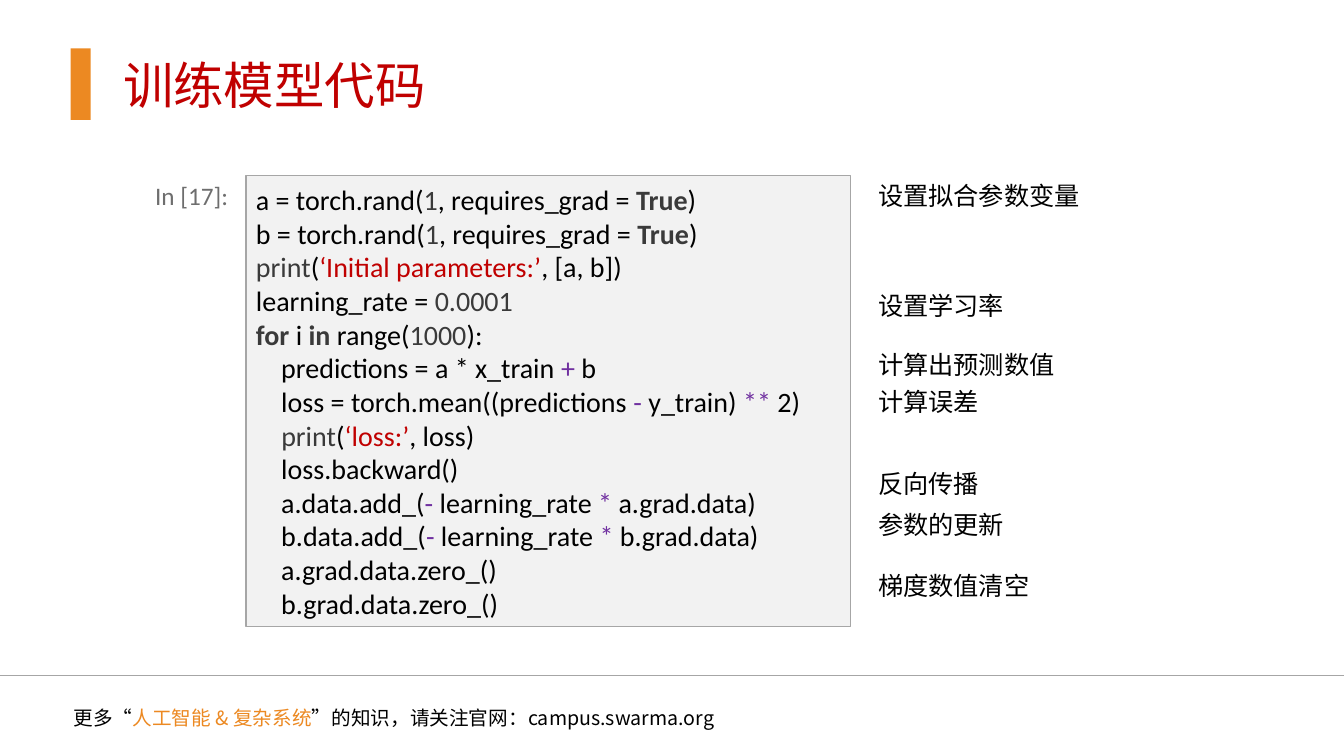
from typing import NamedTuple

from lxml import etree
from pptx import Presentation
from pptx.dml.color import RGBColor
from pptx.enum.shapes import MSO_CONNECTOR, MSO_SHAPE
from pptx.enum.text import MSO_ANCHOR, MSO_AUTO_SIZE, PP_ALIGN
from pptx.oxml.ns import qn
from pptx.shapes.base import BaseShape
from pptx.slide import Slide
from pptx.util import Inches, Pt

RECTANGLE = MSO_SHAPE.RECTANGLE
STRAIGHT = MSO_CONNECTOR.STRAIGHT
MIDDLE = MSO_ANCHOR.MIDDLE
LEFT = PP_ALIGN.LEFT
NO_AUTOSIZE = MSO_AUTO_SIZE.NONE

BLACK = RGBColor(0x00, 0x00, 0x00)
DARK_GRAY = RGBColor(0x3A, 0x3A, 0x3A)
PROMPT_GRAY = RGBColor(0x6E, 0x6E, 0x6E)
BORDER_GRAY = RGBColor(0xA6, 0xA6, 0xA6)
CODE_FILL = RGBColor(0xF2, 0xF2, 0xF2)
RED = RGBColor(0xC0, 0x00, 0x00)
PURPLE = RGBColor(0x70, 0x30, 0xA0)
ORANGE = RGBColor(0xEC, 0x89, 0x22)

LATIN = "Calibri"
CHINESE = "Noto Sans CJK SC"


class Box(NamedTuple):
    left: float
    top: float
    width: float
    height: float


class Piece(NamedTuple):
    text: str
    color: RGBColor = BLACK
    bold: bool = False


class Note(NamedTuple):
    top: float
    text: str


Line = list[Piece]


def keyword(text: str) -> Piece:
    return Piece(text, DARK_GRAY, True)


def literal(text: str) -> Piece:
    return Piece(text, DARK_GRAY)


def string(text: str) -> Piece:
    return Piece(text, RED)


def operator(text: str) -> Piece:
    return Piece(text, PURPLE)


def parameter_line(name: str) -> Line:
    return [Piece(f"{name} = torch.rand("), literal("1"), Piece(", requires_grad = "),
            keyword("True"), Piece(")")]


def update_line(name: str) -> Line:
    return [Piece(f"    {name}.data.add_("), operator("- "), Piece("learning_rate "),
            operator("* "), Piece(f"{name}.grad.data)")]


CODE = [
    parameter_line("a"),
    parameter_line("b"),
    [literal("print"), Piece("("), string("‘Initial parameters:’"), Piece(", [a, b])")],
    [Piece("learning_rate = "), literal("0.0001")],
    [keyword("for "), Piece("i "), keyword("in"), Piece(" range("), literal("1000"), Piece("):")],
    [Piece("    predictions = a * x_train "), operator("+"), Piece(" b")],
    [Piece("    loss = torch.mean((predictions "), operator("- "), Piece("y_train) "),
     operator("**"), Piece(" 2)")],
    [Piece("    "), literal("print"), Piece("("), string("‘loss:’"), Piece(", loss)")],
    [Piece("    loss.backward()")],
    update_line("a"),
    update_line("b"),
    [Piece("    a.grad.data.zero_()")],
    [Piece("    b.grad.data.zero_()")],
]

NOTES = [
    Note(1.74, "设置拟合参数变量"),
    Note(2.83, "设置学习率"),
    Note(3.42, "计算出预测数值"),
    Note(3.78, "计算误差"),
    Note(4.6, "反向传播"),
    Note(5, "参数的更新"),
    Note(5.61, "梯度数值清空"),
]

FOOTER = [
    Piece("更多“"),
    Piece("人工智能 & 复杂系统", ORANGE),
    Piece("”的知识，请关注官网：campus.swarma.org"),
]


def inches(box: Box) -> list[Inches]:
    return [Inches(value) for value in box]


def write(shape: BaseShape, lines: list[Line], size: int, font: str) -> None:
    frame = shape.text_frame
    frame.word_wrap = True
    frame.auto_size = NO_AUTOSIZE
    frame.vertical_anchor = MIDDLE
    for index, line in enumerate(lines):
        paragraph = frame.add_paragraph() if index else frame.paragraphs[0]
        paragraph.alignment = LEFT
        paragraph.font.size = Pt(size)
        paragraph.font.name = font
        uniform = len(line) == 1
        for piece in line:
            run = paragraph.add_run()
            run.text = piece.text
            target = paragraph.font if uniform else run.font
            target.color.rgb = piece.color
            target.bold = piece.bold
        defaults = paragraph._p.pPr.find(qn("a:defRPr"))
        etree.SubElement(defaults, qn("a:ea"), typeface=CHINESE)


def add_text(slide: Slide, box: Box, line: Line, size: int, font: str) -> None:
    write(slide.shapes.add_textbox(*inches(box)), [line], size, font)


def add_rectangle(slide: Slide, box: Box, fill: RGBColor) -> BaseShape:
    shape = slide.shapes.add_shape(RECTANGLE, *inches(box))
    shape.shadow.inherit = False
    shape.fill.solid()
    shape.fill.fore_color.rgb = fill
    shape.line.fill.background()
    return shape


def add_rule(slide: Slide, top: float, width: float) -> None:
    rule = slide.shapes.add_connector(STRAIGHT, 0, Inches(top), Inches(width), Inches(top))
    rule.line.color.rgb = BORDER_GRAY
    rule.line.width = Pt(1)
    etree.SubElement(rule._element.spPr, qn("a:effectLst"))


def add_title(slide: Slide, box: Box, text: str) -> None:
    title = slide.shapes.title
    title.left, title.top, title.width, title.height = inches(box)
    write(title, [[Piece(text, RED)]], 36, CHINESE)


def main() -> None:
    presentation = Presentation()
    presentation.slide_width = Inches(13.33)
    presentation.slide_height = Inches(7.5)
    slide = presentation.slides.add_slide(presentation.slide_layouts[5])

    add_title(slide, Box(1.12, 0.48, 3.72, 0.71), "训练模型代码")
    add_rectangle(slide, Box(0.7, 0.48, 0.2, 0.71), ORANGE)

    code_box = add_rectangle(slide, Box(2.44, 1.74, 6, 4.48), CODE_FILL)
    code_box.line.color.rgb = BORDER_GRAY
    code_box.line.width = Pt(0.75)
    write(code_box, CODE, 20, LATIN)

    add_text(slide, Box(1.44, 1.74, 1, 0.4), [Piece("In [17]:", PROMPT_GRAY)], 18, LATIN)
    for note in NOTES:
        add_text(slide, Box(8.61, note.top, 2.88, 0.4), [Piece(note.text)], 18, LATIN)

    add_rule(slide, 6.7, 13.33)
    add_text(slide, Box(0.63, 6.95, 7.85, 0.34), FOOTER, 14, CHINESE)
    presentation.save("out.pptx")


if __name__ == "__main__":
    main()
